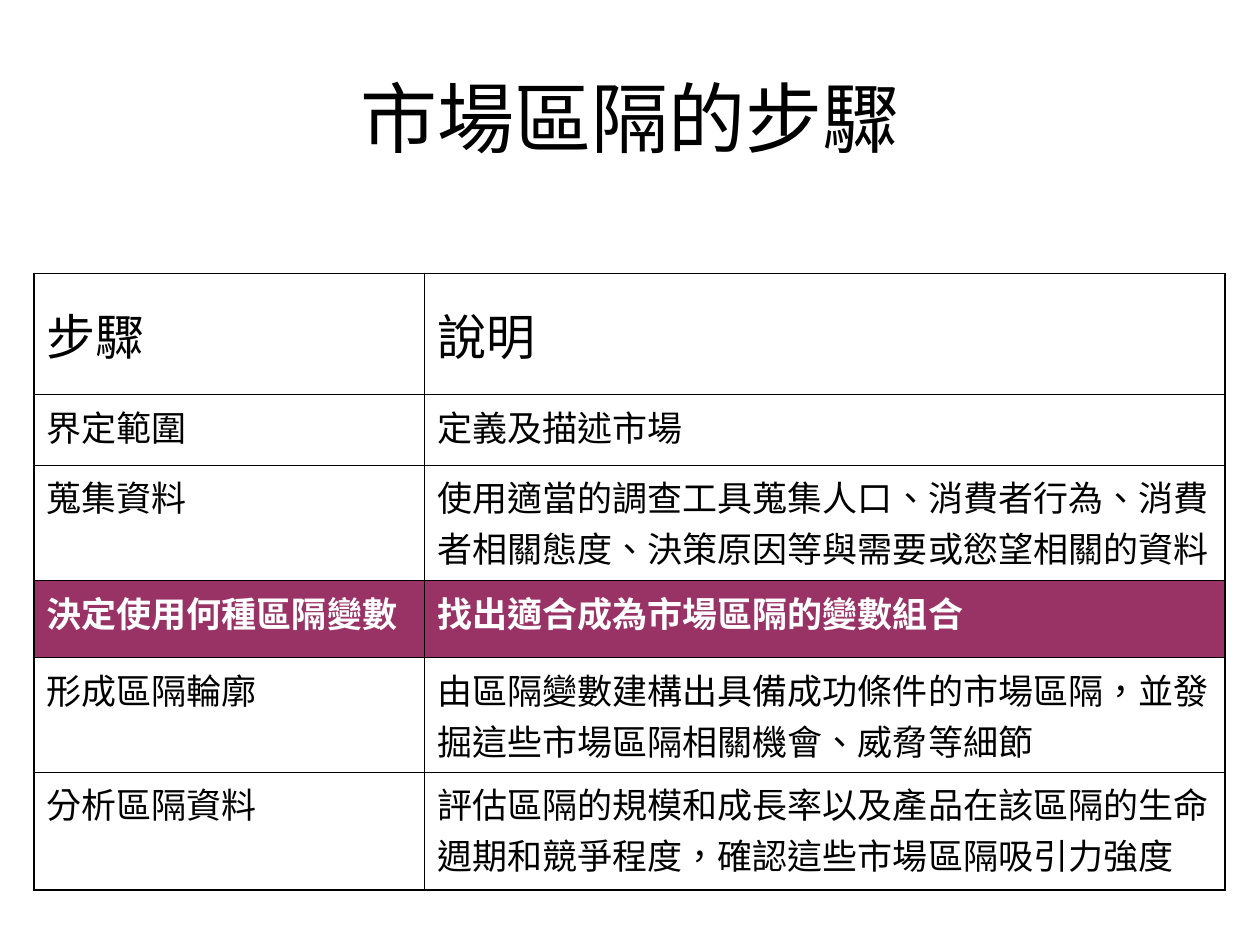
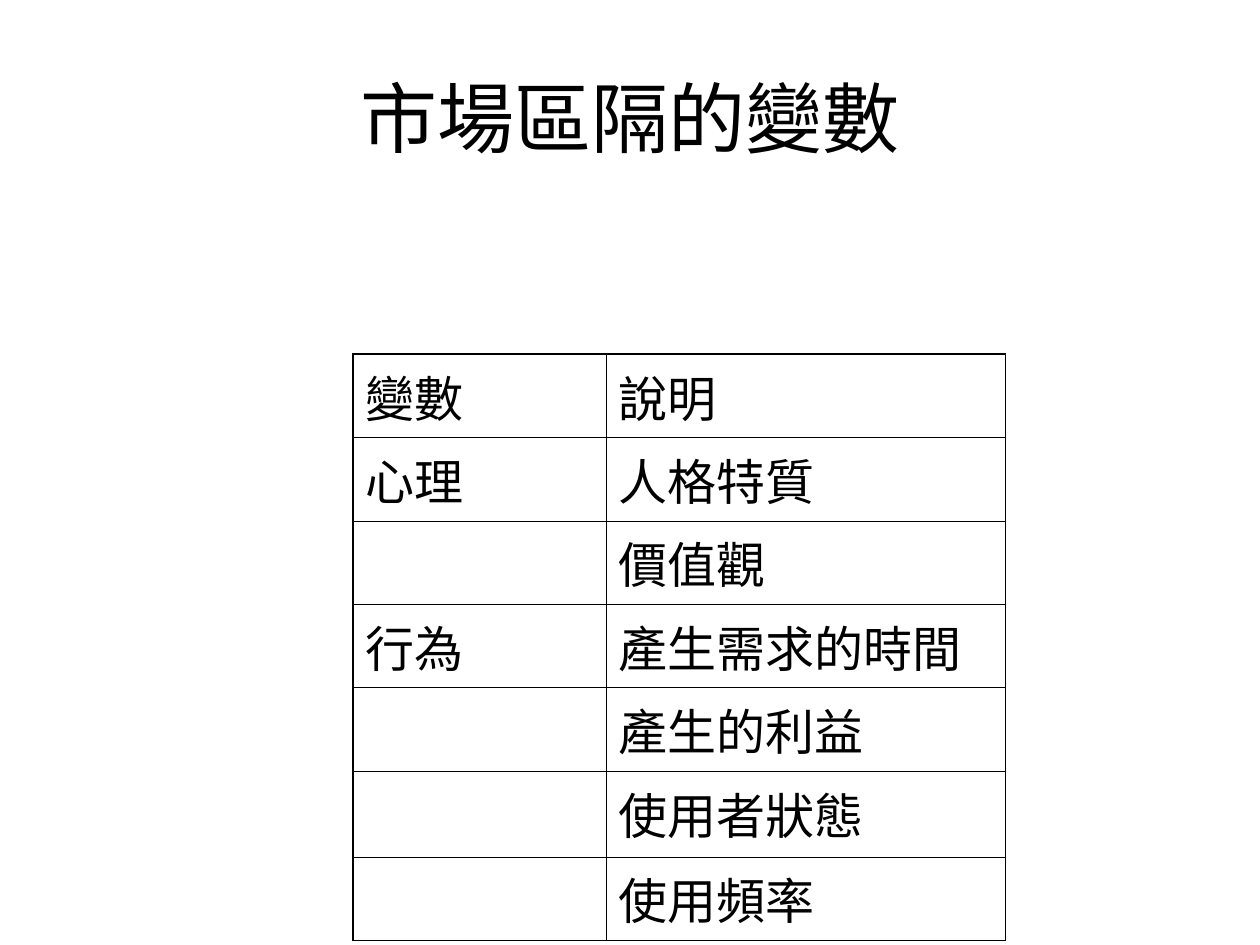
import pptx
import pptx.dml.color
import pptx.enum.text
import pptx.oxml
import pptx.oxml.ns
import pptx.util

RGBColor = pptx.dml.color.RGBColor
BLACK = RGBColor(0x00, 0x00, 0x00)
WHITE = RGBColor(0xFF, 0xFF, 0xFF)
PLUM = RGBColor(0x99, 0x33, 0x66)

ARIAL = "Arial"
CJK_SC = "Noto Sans CJK SC"
CJK_TC = "Noto Sans CJK TC"

GRID_COLS, GRID_ROWS = 100, 75
UNIT = pptx.util.Inches(10) // GRID_COLS
TITLE_BOX = (5, 3, 90, 12.5)
TITLE_SIZE, HEAD_SIZE, BODY_SIZE = 44, 28, 20
HEAD_GAP, BODY_GAP = 7, 5
OUTER, INNER = 1.08, 0.45
ANCHOR = pptx.enum.text.MSO_ANCHOR

STEPS = [
    ("步驟", [("說明", ARIAL)]),
    ("界定範圍", [("定義及描述市場", ARIAL)]),
    ("蒐集資料", [
        ("使用", ARIAL),
        ("適當的調查工具蒐集人口", CJK_TC),
        ("、消費者行為、消費者相關態度、決策原因等與需要或慾望相關的資料", ARIAL),
    ]),
    ("決定使用何種區隔變數", [("找出適合成為市場區隔的變數組合", ARIAL)]),
    ("形成區隔輪廓", [
        ("由", ARIAL),
        ("區隔變數建構出具備成功條件的市場區隔", CJK_TC),
        ("，並發掘這些市場區隔相關機會、威脅等細節", ARIAL),
    ]),
    ("分析區隔資料", [
        ("評估區隔的規模和成長率以及產品在該區隔的生命週期和競爭程度，確認這些市場區隔吸引力強度", ARIAL),
    ]),
]
KEY_STEP = 3

VARIABLES = [
    ("變數", "說明"),
    ("心理", "人格特質"),
    ("", "價值觀"),
    ("行為", "產生需求的時間"),
    ("", "產生的利益"),
    ("", "使用者狀態"),
    ("", "使用頻率"),
]


def grid(n):
    """Turn grid units into a slide length."""
    return pptx.util.Emu(round(n * UNIT))


def add_run(p, text, font, size, color=BLACK, bold=False):
    """Add one run of Traditional Chinese text to a paragraph."""
    r = p.add_run()
    r.text = text
    r.font.name = font
    r.font.size = pptx.util.Pt(size)
    r.font.bold = bold
    r.font.color.rgb = color
    rPr = r.font._element
    rPr.set("lang", "zh-TW")
    ea = pptx.oxml.parse_xml(
        f'<a:ea {pptx.oxml.ns.nsdecls("a")} typeface="{CJK_TC}"/>')
    rPr.find(pptx.oxml.ns.qn("a:latin")).addnext(ea)


def add_titled_slide(prs, text, font):
    """Add a title-only slide with its centred title."""
    s = prs.slides.add_slide(prs.slide_layouts[5])
    title = s.shapes.title
    title.left, title.top, title.width, title.height = map(grid, TITLE_BOX)
    tf = title.text_frame
    tf.auto_size = pptx.enum.text.MSO_AUTO_SIZE.NONE
    tf.vertical_anchor = ANCHOR.MIDDLE
    p = tf.paragraphs[0]
    p.alignment = pptx.enum.text.PP_ALIGN.CENTER
    add_run(p, text, font, TITLE_SIZE)
    return s


def set_borders(cell, widths):
    """Draw black borders in the order left, right, top, bottom."""
    tcPr = cell._tc.get_or_add_tcPr()
    for i, (side, width) in enumerate(zip("LRTB", widths)):
        tcPr.insert(i, pptx.oxml.parse_xml(
            f'<a:ln{side} {pptx.oxml.ns.nsdecls("a")} w="{pptx.util.Pt(width)}">'
            f'<a:solidFill><a:srgbClr val="{BLACK}"/></a:solidFill></a:ln{side}>'))


def add_grid_table(s, left, top, col_widths, row_heights):
    """Add a plain table with a heavier outer frame."""
    n_rows, n_cols = len(row_heights), len(col_widths)
    box = map(grid, (left, top, sum(col_widths), sum(row_heights)))
    table = s.shapes.add_table(n_rows, n_cols, *box).table
    table.first_row = table.horz_banding = False
    for col, width in zip(table.columns, col_widths):
        col.width = grid(width)
    for row, height in zip(table.rows, row_heights):
        row.height = grid(height)
    for i in range(n_rows):
        for j in range(n_cols):
            cell = table.cell(i, j)
            cell.fill.background()
            edges = (j == 0, j == n_cols - 1, i == 0, i == n_rows - 1)
            set_borders(cell, [OUTER if edge else INNER for edge in edges])
    return table


def fill_cell(cell, runs, size, gap, **style):
    """Write runs of (text, font) into a cell."""
    p = cell.text_frame.paragraphs[0]
    p.space_before = pptx.util.Pt(gap)
    for text, font in runs:
        add_run(p, text, font, size, **style)


def paint_cell(cell, color):
    """Give a cell a solid fill."""
    cell.fill.solid()
    cell.fill.fore_color.rgb = color


def build_steps(prs):
    """Build the slide on the steps of segmentation."""
    s = add_titled_slide(prs, "市場區隔的步驟", CJK_SC)
    table = add_grid_table(s, 2.7, 21.7, (31, 63.5), (9.6, 5.6, 9.2, 6.1, 8.2, 9.4))
    for i, (step, description) in enumerate(STEPS):
        size, gap = (BODY_SIZE, BODY_GAP) if i else (HEAD_SIZE, HEAD_GAP)
        key = i == KEY_STEP
        for j, runs in enumerate(([(step, CJK_TC)], description)):
            cell = table.cell(i, j)
            fill_cell(cell, runs, size, gap, color=WHITE if key else BLACK, bold=key)
            if i:
                paint_cell(cell, PLUM if key else WHITE)
            else:
                cell.vertical_anchor = ANCHOR.MIDDLE


def build_variables(prs):
    """Build the slide on the variables of segmentation."""
    s = add_titled_slide(prs, "市場區隔的變數", ARIAL)
    heights = [6] * 5 + [6.8, 6]
    table = add_grid_table(s, 28, 28.1, (20.1, 31.7), heights)
    for i, texts in enumerate(VARIABLES):
        for j, text in enumerate(texts):
            if text:
                fill_cell(table.cell(i, j), [(text, ARIAL)], HEAD_SIZE, HEAD_GAP)


def main():
    """Build and save the presentation."""
    prs = pptx.Presentation()
    prs.slide_width = grid(GRID_COLS)
    prs.slide_height = grid(GRID_ROWS)
    build_steps(prs)
    build_variables(prs)
    prs.save("out.pptx")


if __name__ == "__main__":
    main()
